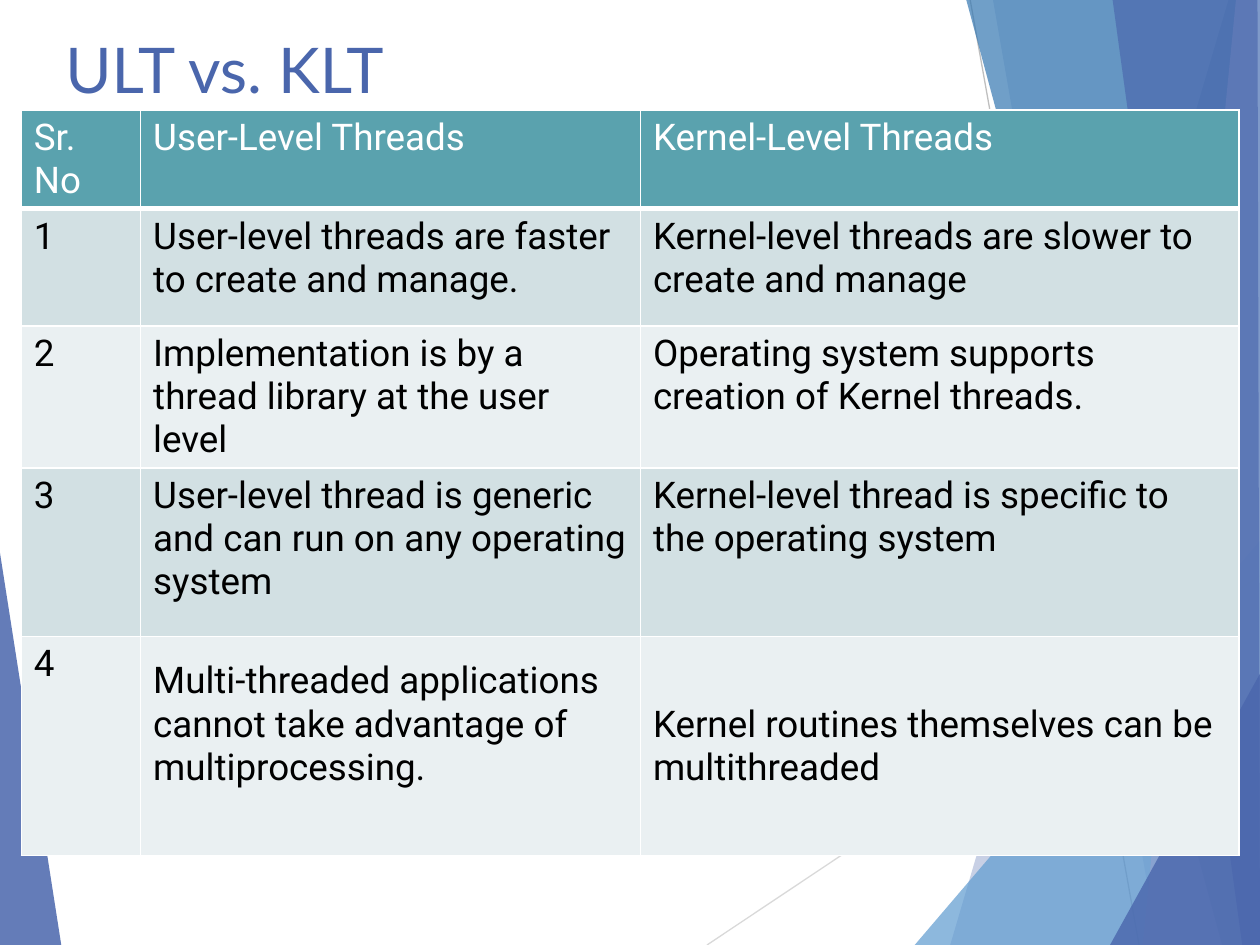
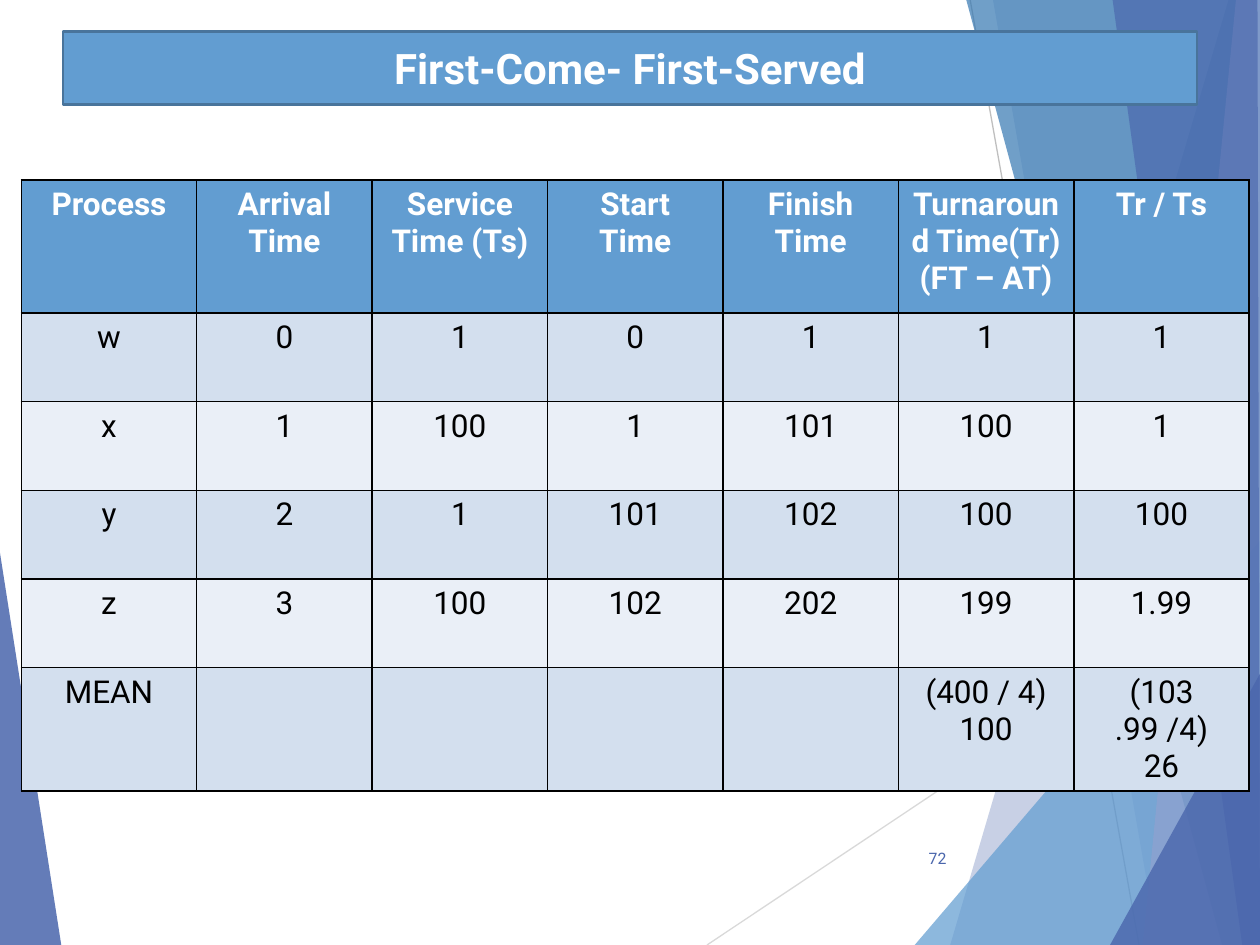
"""Build two slides on threads and first-come scheduling."""
import pptx
import pptx.dml.color
import pptx.enum.text
import pptx.oxml
import pptx.oxml.ns
import pptx.util
from lxml import etree

Pt = pptx.util.Pt
qn = pptx.oxml.ns.qn
ALIGN = pptx.enum.text.PP_ALIGN
ANCHOR = pptx.enum.text.MSO_ANCHOR

WIDTH, HEIGHT = 720, 540
BLUE, SKY, WHITE, BLACK = "4A66AC", "629DD1", "FFFFFF", "000000"
HEADING_FONT, BODY_FONT = "Lato", "Roboto"

GUIDE_LINES = [
    ((404, 540), (720, 329), "D9D9D9"),
    ((554.4, 0), (650.9, 540), "BFBFBF"),
]
RIBBONS = [
    ([(702, 0), (543, 540), (720, 540), (720, 0)], BLUE, 30),
    ([(567.4, 0), (661.7, 540), (720, 540), (720, 0)], BLUE, 20),
    ([(522.7, 540), (720, 309), (720, 540)], SKY, 72),
    ([(552.2, 0), (698.4, 540), (720, 540), (720, 0)], "3477B2", 70),
    ([(706.3, 0), (653, 540), (720, 540), (720, 0)], "90A2CF", 70),
    ([(635.8, 0), (709.9, 540), (720, 540), (718.6, 0)], BLUE, 65),
    ([(634.3, 540), (720, 385), (720, 540)], BLUE, 80),
]
LEFT_WEDGE = ([(0, 316), (35, 540), (0, 540)], BLUE, 85)

THREAD_ROWS = [
    ["Sr. No", "User-Level Threads", "Kernel-Level Threads"],
    ["1", "User-level threads are faster to create and manage.",
     "Kernel-level threads are slower to create and manage"],
    ["2", "Implementation is by a thread library at the user level",
     "Operating system supports creation of Kernel threads."],
    ["3", "User-level thread is generic and can run on any operating system",
     "Kernel-level thread is specific to the operating system"],
    ["4", "Multi-threaded applications cannot take advantage of multiprocessing.",
     "Kernel routines themselves can be multithreaded"],
]
SCHEDULE_ROWS = [
    ["Process", "Arrival Time", "Service Time (Ts)", "Start\nTime", "Finish Time",
     "Turnaround Time(Tr) (FT – AT)", "Tr / Ts"],
    ["w", "0", "1", "0", "1", "1", "1"],
    ["x", "1", "100", "1", "101", "100", "1"],
    ["y", "2", "1", "101", "102", "100", "100"],
    ["z", "3", "100", "102", "202", "199", "1.99"],
    ["MEAN", "", "", "", "", "(400 / 4)\n100", "(103 .99 /4)\n26"],
]


def rgb(value):
    """Turn a hex string into a colour."""
    return pptx.dml.color.RGBColor.from_string(value)


def paint(fill, color):
    """Fill with one solid colour."""
    fill.solid()
    fill.fore_color.rgb = rgb(color)


def format_text(text_frame, size, color, font=BODY_FONT, bold=False, align=ALIGN.LEFT):
    """Format every paragraph and run of a text frame."""
    for paragraph in text_frame.paragraphs:
        paragraph.alignment = align
        for run in paragraph.runs:
            run.font.size = Pt(size)
            run.font.name = font
            run.font.bold = bold
            run.font.color.rgb = rgb(color)


def add_ribbon(slide, points, color, opacity):
    """Add a translucent polygon."""
    builder = slide.shapes.build_freeform(*map(Pt, points[0]))
    builder.add_line_segments([(Pt(x), Pt(y)) for x, y in points[1:]])
    shape = builder.convert_to_shape()
    shape.shadow.inherit = False
    shape.line.fill.background()
    paint(shape.fill, color)
    srgb = shape.element.spPr.find(".//" + qn("a:srgbClr"))
    etree.SubElement(srgb, qn("a:alpha")).set("val", str(opacity * 1000))
    return shape


def add_guide(slide, start, end, color):
    """Add a thin straight line."""
    line = slide.shapes.add_connector(1, *map(Pt, start + end))
    line.line.color.rgb = rgb(color)
    line.line.width = Pt(0.75)
    etree.SubElement(line.element.spPr, qn("a:effectLst"))
    return line


def decorate_layout(slide):
    """Draw the shared ribbons and move them to the slide's layout."""
    decorations = [add_ribbon(slide, *LEFT_WEDGE)]
    decorations += [add_guide(slide, *guide) for guide in GUIDE_LINES]
    decorations += [add_ribbon(slide, *ribbon) for ribbon in RIBBONS]
    layout_tree = slide.slide_layout.shapes.element
    for number, shape in enumerate(decorations, start=100):
        shape.element.find(".//" + qn("p:cNvPr")).set("id", str(number))
        layout_tree.append(shape.element)


def set_title(slide, text, left, top, width, height, **style):
    """Place and format the title placeholder."""
    title = slide.shapes.title
    title.left, title.top, title.width, title.height = map(Pt, (left, top, width, height))
    title.text_frame.text = text
    title.text_frame.auto_size = pptx.enum.text.MSO_AUTO_SIZE.NONE
    title.text_frame.vertical_anchor = ANCHOR.MIDDLE
    format_text(title.text_frame, **style)
    return title


def set_borders(cell, color, bottom_width):
    """Draw the four borders of a cell."""
    properties = cell._tc.get_or_add_tcPr()
    for side, width in (("L", 1), ("R", 1), ("T", 1), ("B", bottom_width)):
        line = etree.SubElement(properties, qn("a:ln" + side), w=str(Pt(width)))
        solid = etree.SubElement(line, qn("a:solidFill"))
        etree.SubElement(solid, qn("a:srgbClr"), val=color)


def add_table(slide, rows, left, top, widths, heights, fills, border, size,
              align=ALIGN.LEFT, header_bold=False, header_rule=1):
    """Add a table with a header fill and two alternating row fills."""
    frame = slide.shapes.add_table(len(rows), len(widths), Pt(left), Pt(top),
                                   Pt(sum(widths)), Pt(sum(heights)))
    table = frame.table
    for column, width in zip(table.columns, widths):
        column.width = Pt(width)
    for index, (texts, height) in enumerate(zip(rows, heights)):
        header = index == 0
        table.rows[index].height = Pt(height)
        fill = fills[0] if header else fills[2 - index % 2]
        for column, text in enumerate(texts):
            cell = table.cell(index, column)
            cell.text_frame.text = text
            set_borders(cell, border, header_rule if header else 1)
            paint(cell.fill, fill)
            format_text(cell.text_frame, size, WHITE if header else BLACK,
                        bold=header and header_bold, align=align)
    return table


def add_page_number(slide, text):
    """Add the small page number."""
    box = slide.shapes.add_textbox(Pt(507.6), Pt(476), Pt(40.3), Pt(28.8))
    box.text_frame.word_wrap = True
    box.text_frame.vertical_anchor = ANCHOR.MIDDLE
    box.text_frame.text = text
    format_text(box.text_frame, 9, BLUE, align=ALIGN.RIGHT)


def build_thread_slide(slide):
    """Compare user-level and kernel-level threads."""
    set_title(slide, "ULT vs. KLT", 30.2, 12.2, 612, 53.3,
              size=36, color=BLUE, font=HEADING_FONT)
    table = add_table(slide, THREAD_ROWS, 12.2, 62.8, [68.2, 285.6, 342],
                      [56.5, 67, 81, 96.5, 125], ("5AA2AE", "D2E0E3", "EAF0F2"),
                      WHITE, 21, header_rule=3)
    for column in (1, 2):
        table.cell(4, column).vertical_anchor = ANCHOR.MIDDLE
    table.cell(4, 1).margin_bottom = Pt(28.2)


def build_schedule_slide(slide):
    """Show the first-come, first-served schedule."""
    title = set_title(slide, "First-Come- First-Served", 36, 18, 648, 41.8,
                      size=24, color=WHITE, bold=True, align=ALIGN.CENTER)
    paint(title.fill, SKY)
    title.line.color.rgb = rgb("49749B")
    title.line.width = Pt(1.5)
    add_table(slide, SCHEDULE_ROWS, 12.2, 102.8, [100.25] * 7,
              [76] + [50.7] * 4 + [70.6], (SKY, "D3DFEE", "EAEFF7"),
              BLACK, 18, align=ALIGN.CENTER, header_bold=True)
    add_page_number(slide, "72")


def main():
    """Build and save the presentation."""
    presentation = pptx.Presentation()
    presentation.slide_width, presentation.slide_height = Pt(WIDTH), Pt(HEIGHT)
    title_only = presentation.slide_layouts[5]
    thread_slide = presentation.slides.add_slide(title_only)
    decorate_layout(thread_slide)
    build_thread_slide(thread_slide)
    build_schedule_slide(presentation.slides.add_slide(title_only))
    presentation.save("out.pptx")


if __name__ == "__main__":
    main()
